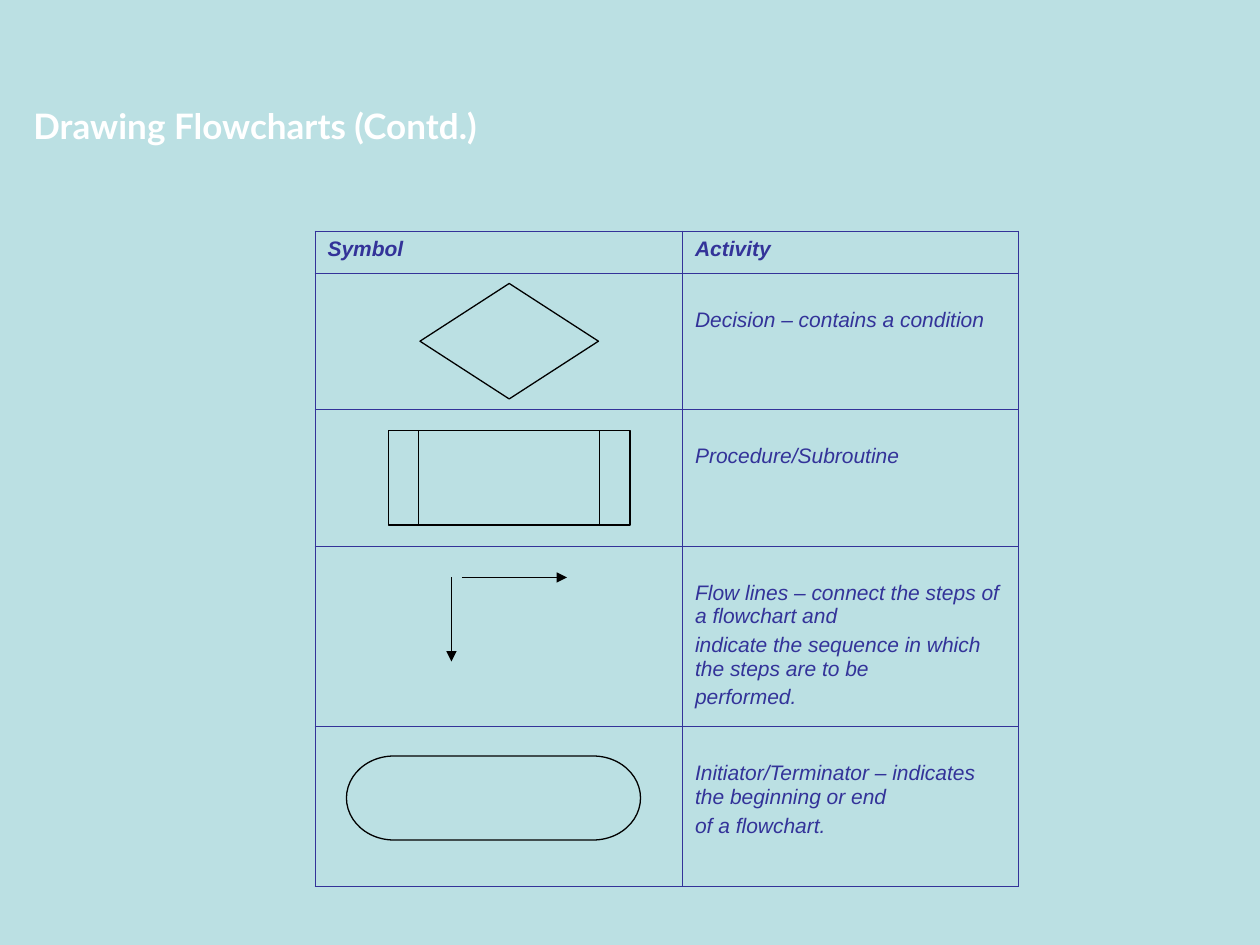
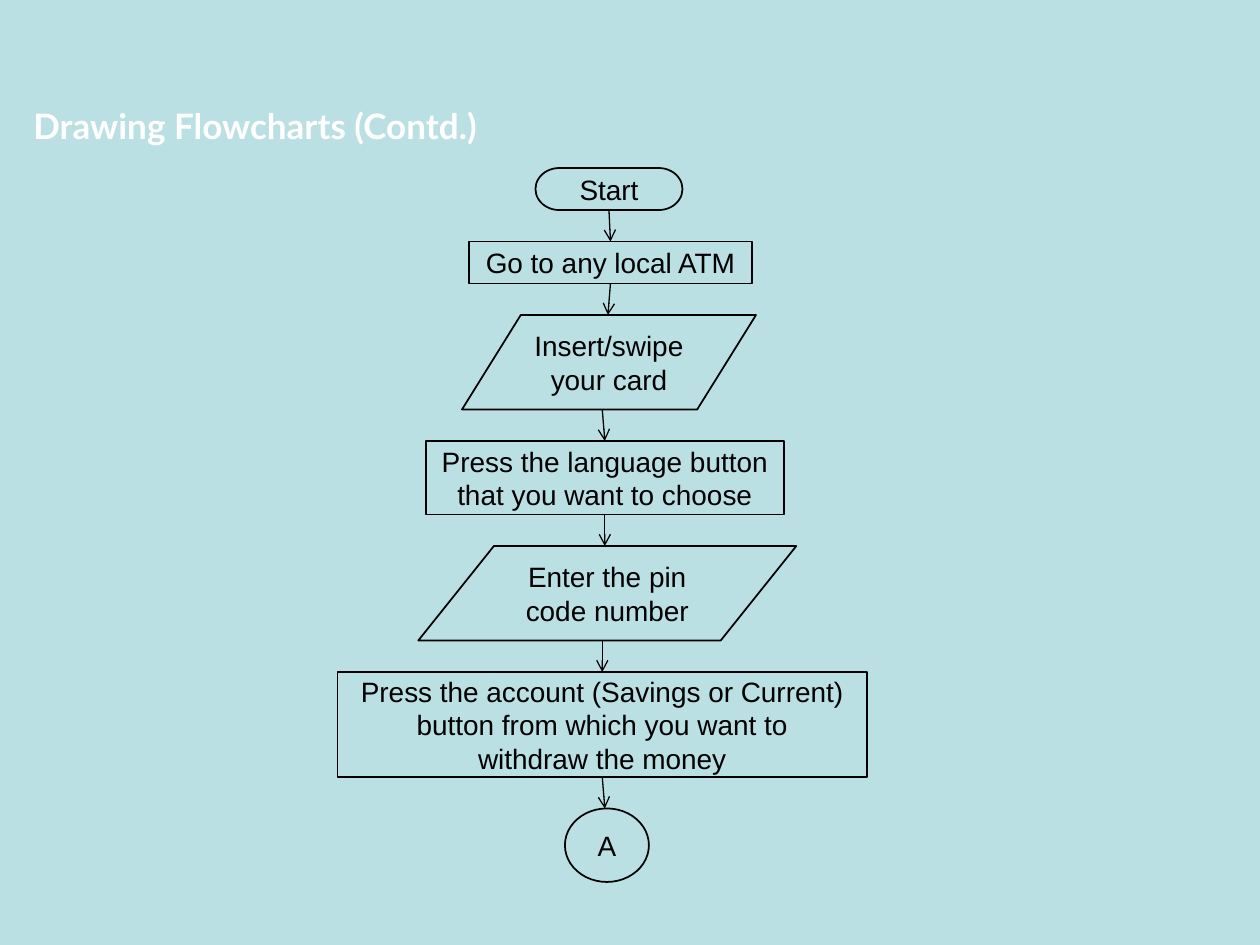
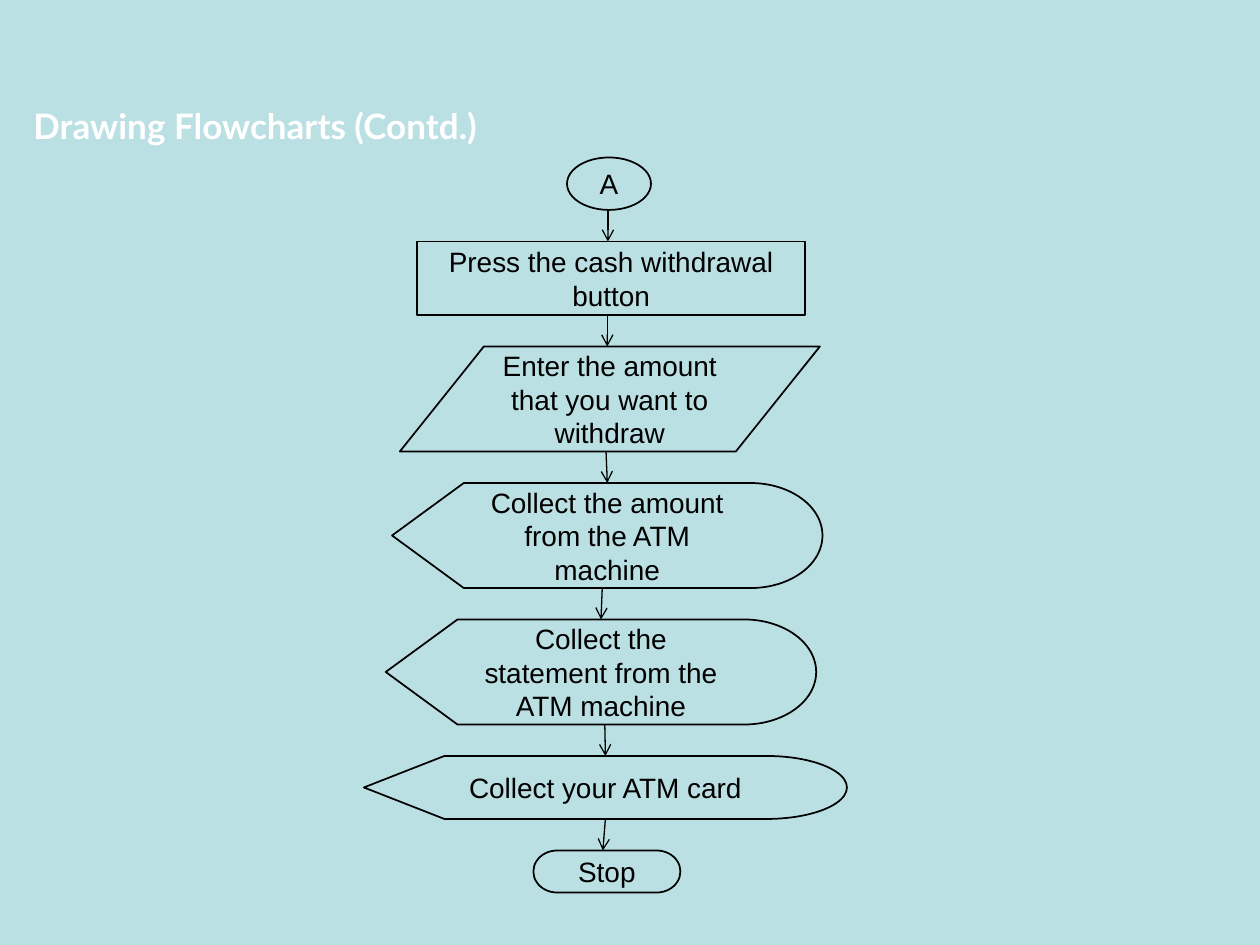
from dataclasses import dataclass
from itertools import pairwise

from lxml import etree
from pptx import Presentation
from pptx import util as u
from pptx.dml.color import RGBColor
from pptx.enum import shapes, text
from pptx.oxml import ns

Kind = shapes.MSO_SHAPE


# Theme and grid
@dataclass(frozen=True)
class Theme:
    background: str = "BBE0E3"
    title: str = "FFFFFF"
    table: str = "333399"
    ink: str = "000000"
    title_font: str = "Lato"
    body_font: str = "Arial"
    title_size: float = 20
    step_size: float = 16
    table_size: float = 12
    step_line: float = 1
    thin_line: float = 0.75
    table_line: float = 0.45


THEME = Theme()
PAGE_WIDTH, PAGE_HEIGHT = u.Inches(10), u.Inches(7.5)
COLUMNS, ROWS = 120, 90
STEP_GAP = 3  # rows between two steps, bridged by an arrow
JOIN_REACH = 0.25  # columns within which an arrow meets a side's middle
FOUR_SITED = (Kind.FLOWCHART_PROCESS, Kind.FLOWCHART_TERMINATOR, Kind.FLOWCHART_DISPLAY)
TITLE = "Drawing Flowcharts (Contd.)"


def across(columns: float) -> int:
    return round(PAGE_WIDTH * columns / COLUMNS)


def down(rows: float) -> int:
    return round(PAGE_HEIGHT * rows / ROWS)


# Elements
@dataclass(frozen=True)
class Symbol:
    kind: Kind
    left: float
    top: float
    width: float
    height: float


@dataclass(frozen=True)
class Step:
    kind: Kind
    words: str
    middle: float
    width: float
    height: float
    arrow: float = 0  # column of the arrow that leaves this step


@dataclass(frozen=True)
class Activity:
    rows: float
    words: str


ACTIVITIES = [
    Activity(13, "Decision – contains a condition"),
    Activity(13, "Procedure/Subroutine"),
    Activity(17.2, "Flow lines – connect the steps of a flowchart and\n"
                   "indicate the sequence in which the steps are to be\nperformed."),
    Activity(15.2, "Initiator/Terminator – indicates the beginning or end\nof a flowchart."),
]
SYMBOLS = [
    Symbol(Kind.FLOWCHART_DECISION, 40, 27, 17, 11),
    Symbol(Kind.FLOWCHART_PREDEFINED_PROCESS, 37, 41, 23, 9),
    Symbol(Kind.FLOWCHART_TERMINATOR, 33, 72, 28, 8),
]
FLOW_LINES = [(43, 55, 43, 63), (44, 55, 54, 55)]

CARD_STEPS = [
    Step(Kind.FLOWCHART_TERMINATOR, "Start", 58, 14, 4, 58),
    Step(Kind.FLOWCHART_PROCESS, "Go to any local ATM", 58.14, 27, 4, 57.9),
    Step(Kind.FLOWCHART_DATA, "Insert/swipe your card", 58, 28, 9, 57.36),
    Step(Kind.FLOWCHART_PROCESS, "Press the language button that you want to choose",
         57.6, 34.1, 7, 57.6),
    Step(Kind.FLOWCHART_DATA, "Enter the pin code number", 57.84, 36, 9, 57.36),
    Step(Kind.FLOWCHART_PROCESS, "Press the account (Savings or Current)\n"
         "button from which you want to\nwithdraw the money", 57.36, 50.4, 10, 57.6),
    Step(Kind.FLOWCHART_CONNECTOR, "A", 57.8, 8, 7),
]
CASH_STEPS = [
    Step(Kind.FLOWCHART_CONNECTOR, "A", 58, 8, 5, 57.9),
    Step(Kind.FLOWCHART_PROCESS, "Press the cash withdrawal\nbutton", 58.2, 37, 7, 57.84),
    Step(Kind.FLOWCHART_DATA, "Enter the amount that you want to withdraw", 58.08, 40, 10, 57.72),
    Step(Kind.FLOWCHART_DISPLAY, "Collect the amount from the ATM machine", 57.84, 41, 10, 57.36),
    Step(Kind.FLOWCHART_DISPLAY, "Collect the statement from the ATM machine",
         57.24, 41, 10, 57.6),
    Step(Kind.FLOWCHART_DISPLAY, "Collect your ATM card", 57.66, 46, 6, 57.42),
    Step(Kind.FLOWCHART_TERMINATOR, "Stop", 57.8, 14, 4),
]


# Drawing functions
def write(frame, words: str, size: float, color: str, font: str = THEME.body_font,
          bold: bool = False, italic: bool = False, align=text.PP_ALIGN.LEFT,
          spacing: float = 0) -> None:
    for index, line in enumerate(words.split("\n")):
        para = frame.add_paragraph() if index else frame.paragraphs[0]
        para.alignment = align
        if index and spacing:
            para.space_before = u.Pt(spacing)
        span = para.add_run()
        span.text = line
        span.font.name, span.font.size = font, u.Pt(size)
        span.font.bold, span.font.italic = bold, italic
        span.font.color.rgb = RGBColor.from_string(color)


def add_page(deck):
    page = deck.slides.add_slide(deck.slide_layouts[6])
    page.background.fill.solid()
    page.background.fill.fore_color.rgb = RGBColor.from_string(THEME.background)
    box = page.shapes.add_textbox(across(2), down(9.36), across(90), down(5.28))
    box.text_frame.word_wrap = True
    write(box.text_frame, TITLE, THEME.title_size, THEME.title, THEME.title_font, bold=True)
    return page


def draw_symbol(page, symbol: Symbol, line_width: float = THEME.thin_line):
    shape = page.shapes.add_shape(symbol.kind, across(symbol.left), down(symbol.top),
                                  across(symbol.width), down(symbol.height))
    shape.shadow.inherit = False
    shape.fill.background()
    shape.line.color.rgb = RGBColor.from_string(THEME.ink)
    shape.line.width = u.Pt(line_width)
    return shape


def draw_arrow(page, x1: float, y1: float, x2: float, y2: float, head: str):
    arrow = page.shapes.add_connector(shapes.MSO_CONNECTOR.STRAIGHT,
                                      across(x1), down(y1), across(x2), down(y2))
    arrow.line.color.rgb = RGBColor.from_string(THEME.ink)
    arrow.line.width = u.Pt(THEME.thin_line)
    etree.SubElement(arrow.line._get_or_add_ln(), ns.qn("a:tailEnd"), type=head)
    etree.SubElement(arrow._element.spPr, ns.qn("a:effectLst"))
    return arrow


def draw_flow(page, steps: list[Step], top: float) -> None:
    placed = []
    for step in steps:
        symbol = Symbol(step.kind, step.middle - step.width / 2, top, step.width, step.height)
        shape = draw_symbol(page, symbol, THEME.step_line)
        frame = shape.text_frame
        frame.word_wrap = True
        frame.vertical_anchor = text.MSO_ANCHOR.MIDDLE
        write(frame, step.words, THEME.step_size, THEME.ink, align=text.PP_ALIGN.CENTER)
        placed.append((step, shape, top))
        top += step.height + STEP_GAP

    def joins(step: Step, column: float) -> bool:
        return step.kind in FOUR_SITED and abs(step.middle - column) <= JOIN_REACH

    for (step, shape, _), (following, target, end) in pairwise(placed):
        arrow = draw_arrow(page, step.arrow, end - STEP_GAP, step.arrow, end, "arrow")
        if joins(step, step.arrow):
            arrow.begin_connect(shape, 2)
        if joins(following, step.arrow):
            arrow.end_connect(target, 0)


def style_cell(cell) -> None:
    cell.fill.background()
    properties = cell._tc.get_or_add_tcPr()
    for index, side in enumerate(("lnL", "lnR", "lnT", "lnB")):
        border = etree.Element(ns.qn(f"a:{side}"), w=str(u.Pt(THEME.table_line)))
        fill = etree.SubElement(border, ns.qn("a:solidFill"))
        etree.SubElement(fill, ns.qn("a:srgbClr"), val=THEME.table)
        properties.insert(index, border)


def draw_table(page) -> None:
    widths = (35, 32)
    heights = [4] + [activity.rows for activity in ACTIVITIES]
    table = page.shapes.add_table(len(heights), len(widths), across(30), down(22),
                                  across(sum(widths)), down(sum(heights))).table
    table.first_row = table.horz_banding = False
    for column, width in zip(table.columns, widths):
        column.width = across(width)
    for row, height in zip(table.rows, heights):
        row.height = down(height)
    for cell in table.iter_cells():
        style_cell(cell)
    for column, heading in enumerate(("Symbol", "Activity")):
        write(table.cell(0, column).text_frame, heading, THEME.table_size, THEME.table,
              bold=True, italic=True)
    for row, activity in enumerate(ACTIVITIES, start=1):
        cell = table.cell(row, 1)
        cell.margin_top = u.Inches(0.28)
        write(cell.text_frame, activity.words, THEME.table_size, THEME.table,
              italic=True, spacing=3)


def main() -> None:
    deck = Presentation()
    deck.slide_width, deck.slide_height = PAGE_WIDTH, PAGE_HEIGHT

    # Table of symbols
    page = add_page(deck)
    draw_table(page)
    for symbol in SYMBOLS:
        draw_symbol(page, symbol)
    for ends in FLOW_LINES:
        draw_arrow(page, *ends, "triangle")

    # Cash machine flowchart in two parts
    draw_flow(add_page(deck), CARD_STEPS, top=16)
    draw_flow(add_page(deck), CASH_STEPS, top=15)
    deck.save("out.pptx")


if __name__ == "__main__":
    main()
